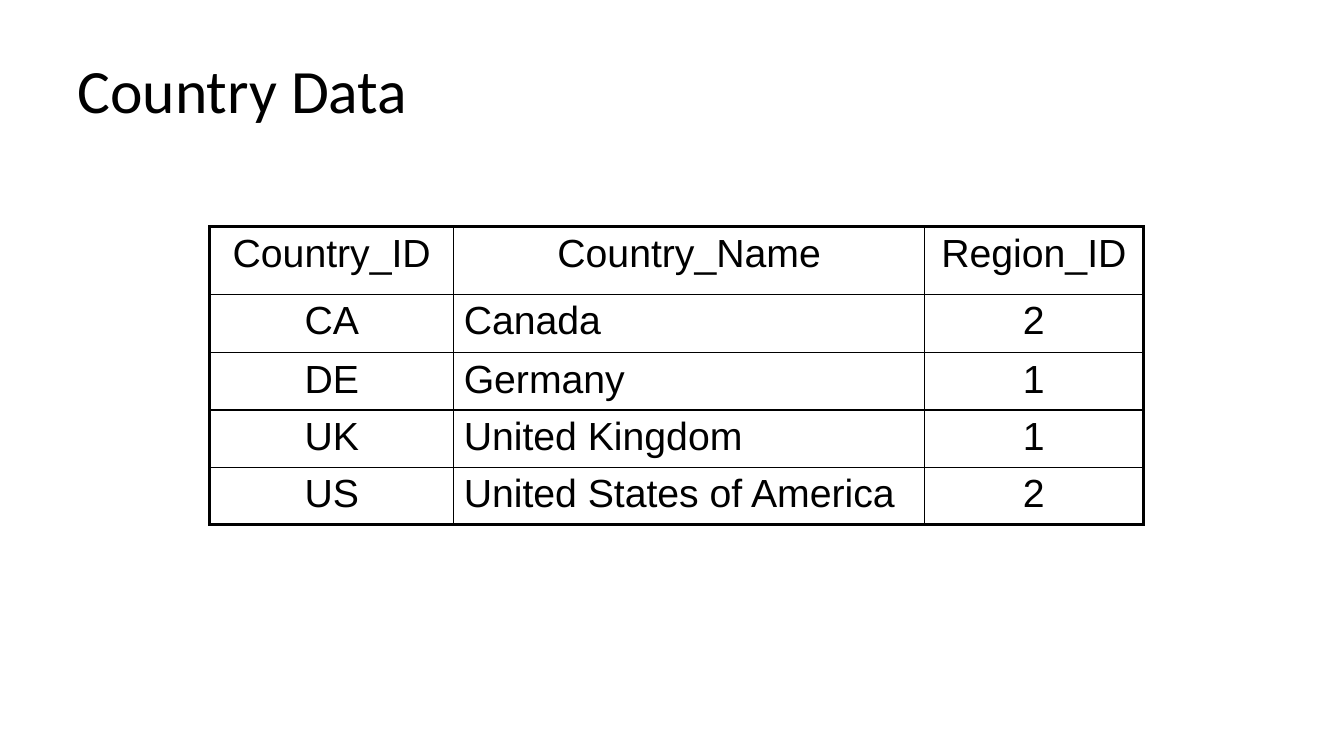
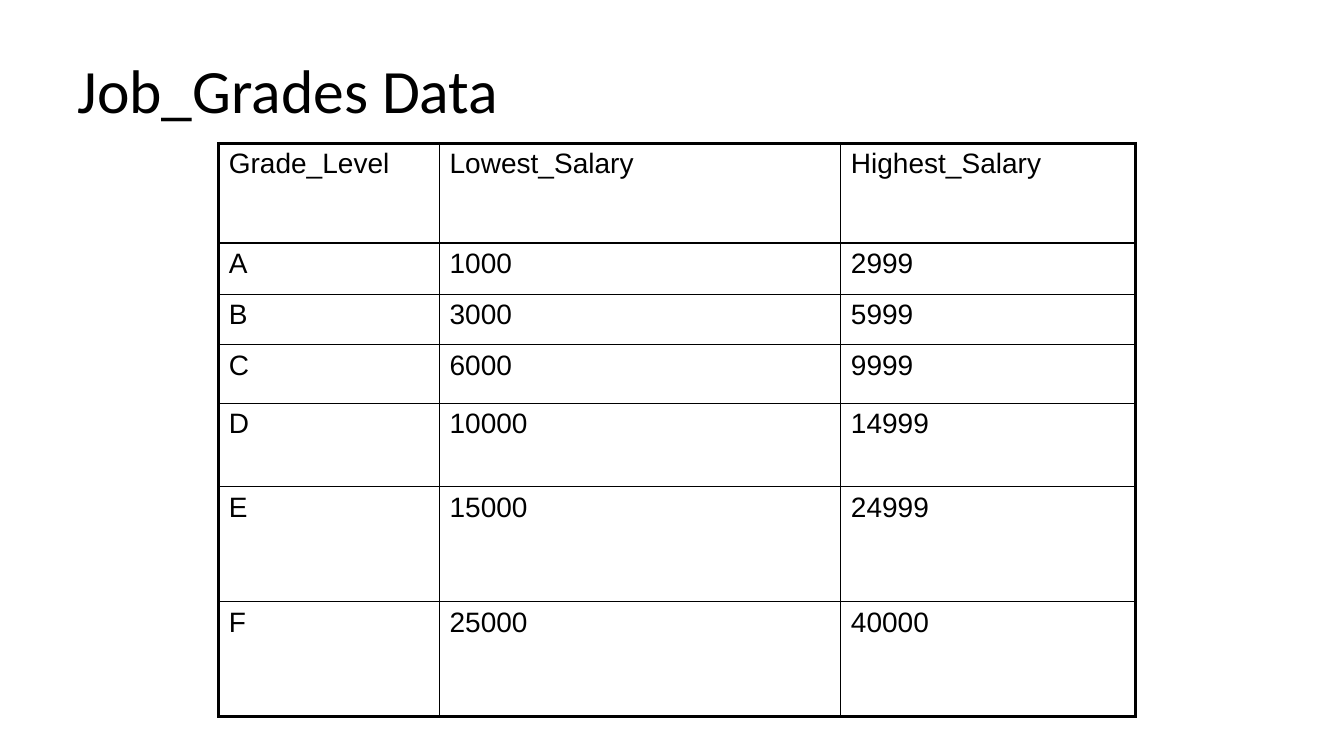
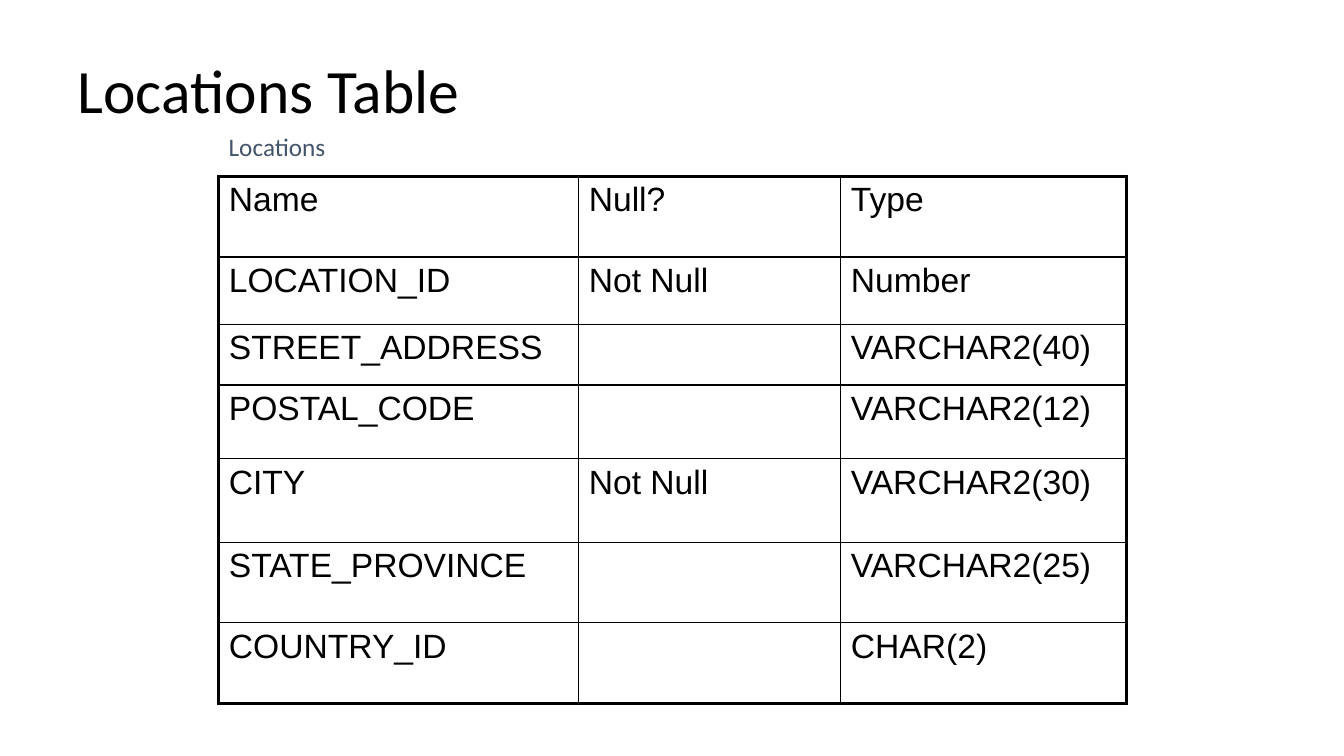
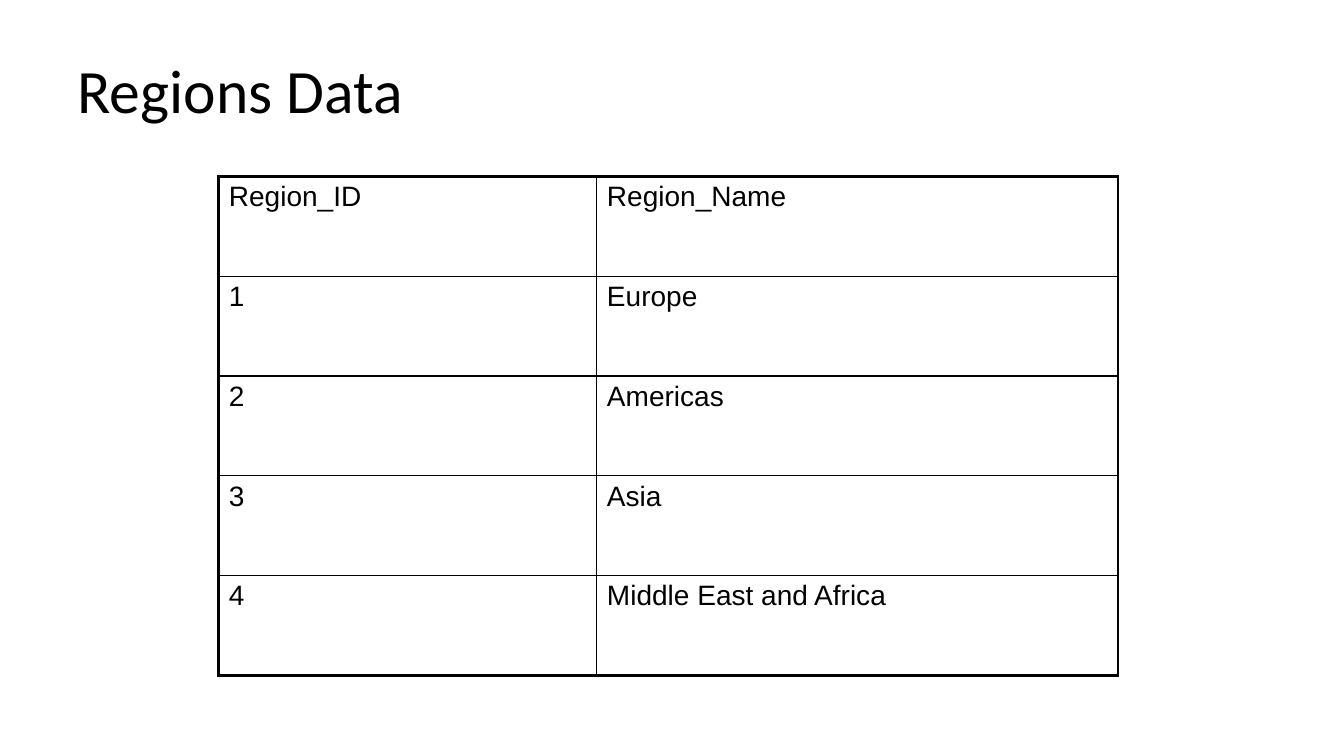
from lxml import etree
from pptx import Presentation
from pptx import util as u
from pptx.dml.color import RGBColor
from pptx.enum import text
from pptx.oxml.ns import qn

BLACK, SLATE = "000000", "44546A"
TITLE_FONT, TABLE_FONT = "Calibri", "Arial"
TITLE_BOX = (0.67, 0.3, 12, 1.25)
OUTER, INNER = 2.25, 1  # border widths in points

# Content: one dict per slide
SLIDES = [
    {
        "title": "Country Data",
        "at": (2.08, 2.25), "size": 28,
        "cols": [2.42, 4.67, 2.17],
        "heights": [0.67, 0.58, 0.53, 0.53, 0.53],
        "centred": (0, 2),
        "rows": [
            ("Country_ID", "Country_Name", "Region_ID"),
            ("CA", "Canada", "2"),
            ("DE", "Germany", "1"),
            ("UK", "United Kingdom", "1"),
            ("US", "United States of America", "2"),
        ],
    },
    {
        "title": "Job_Grades Data",
        "at": (2.17, 1.42), "size": 20,
        "cols": [2.19, 3.98, 2.92],
        "heights": [0.99, 0.51, 0.5, 0.58, 0.83, 1.14, 1.14],
        "rows": [
            ("Grade_Level", "Lowest_Salary", "Highest_Salary"),
            ("A", "1000", "2999"),
            ("B", "3000", "5999"),
            ("C", "6000", "9999"),
            ("D", "10000", "14999"),
            ("E", "15000", "24999"),
            ("F", "25000", "40000"),
        ],
    },
    {
        "title": "Locations Table",
        "caption": ("Locations", (2.17, 1.25, 1.17, 0.4)),
        "at": (2.17, 1.75), "size": 24,
        "cols": [3.57, 2.6, 2.83],
        "heights": [0.8, 0.67, 0.6, 0.73, 0.83, 0.8, 0.8],
        "rows": [
            ("Name", "Null?", "Type"),
            ("LOCATION_ID", "Not Null", "Number"),
            ("STREET_ADDRESS", "", "VARCHAR2(40)"),
            ("POSTAL_CODE", "", "VARCHAR2(12)"),
            ("CITY", "Not Null", "VARCHAR2(30)"),
            ("STATE_PROVINCE", "", "VARCHAR2(25)"),
            ("COUNTRY_ID", "", "CHAR(2)"),
        ],
    },
    {
        "title": "Regions Data",
        "at": (2.17, 1.75), "size": 20,
        "cols": [3.75, 5.17],
        "heights": [0.99] * 5,
        "rows": [
            ("Region_ID", "Region_Name"),
            ("1", "Europe"),
            ("2", "Americas"),
            ("3", "Asia"),
            ("4", "Middle East and Africa"),
        ],
    },
]


def add_run(p, words, size, font, color=BLACK):
    r = p.add_run()
    r.text = words
    r.font.size = u.Pt(size)
    r.font.name = font
    r.font.color.rgb = RGBColor.from_string(color)


def add_text(s, words, at, size, color=BLACK, wrap=True):
    tf = s.shapes.add_textbox(*map(u.Inches, at)).text_frame
    tf.word_wrap = wrap
    add_run(tf.paragraphs[0], words, size, TITLE_FONT, color)
    return tf


def add_title(s, words):
    tf = add_text(s, words, TITLE_BOX, 44)
    tf.vertical_anchor = text.MSO_ANCHOR.MIDDLE
    tf.paragraphs[0].line_spacing = 0.9


def set_borders(cell, widths):
    tc_pr = cell._tc.get_or_add_tcPr()
    for side, width in zip("LRTB", widths):
        ln = etree.SubElement(tc_pr, qn(f"a:ln{side}"), w=str(u.Pt(width)))
        fill = etree.SubElement(ln, qn("a:solidFill"))
        etree.SubElement(fill, qn("a:srgbClr"), val=BLACK)


def add_grid(s, data):
    rows, cols, heights = data["rows"], data["cols"], data["heights"]
    box = (*data["at"], sum(cols), sum(heights))
    table = s.shapes.add_table(len(rows), len(cols), *map(u.Inches, box)).table
    table.first_row = table.horz_banding = False
    for column, width in zip(table.columns, cols):
        column.width = u.Inches(width)
    for row, height in zip(table.rows, heights):
        row.height = u.Inches(height)

    last_row, last_col = len(rows) - 1, len(cols) - 1
    for i, values in enumerate(rows):
        for j, value in enumerate(values):
            cell = table.cell(i, j)
            # The outer frame is heavier than the inner rules
            on_edge = (j == 0, j == last_col, i == 0, i == last_row)
            set_borders(cell, [OUTER if edge else INNER for edge in on_edge])
            cell.fill.background()
            p = cell.text_frame.paragraphs[0]
            if i == 0 and "centred" in data or j in data.get("centred", ()):
                p.alignment = text.PP_ALIGN.CENTER
            if value:
                add_run(p, value, data["size"], TABLE_FONT)


def main():
    prs = Presentation()
    prs.slide_width, prs.slide_height = u.Inches(13.33), u.Inches(7.5)
    for data in SLIDES:
        s = prs.slides.add_slide(prs.slide_layouts[6])
        add_title(s, data["title"])
        add_grid(s, data)
        if "caption" in data:
            words, at = data["caption"]
            add_text(s, words, at, 18, SLATE, wrap=False)
    prs.save("out.pptx")


if __name__ == "__main__":
    main()
